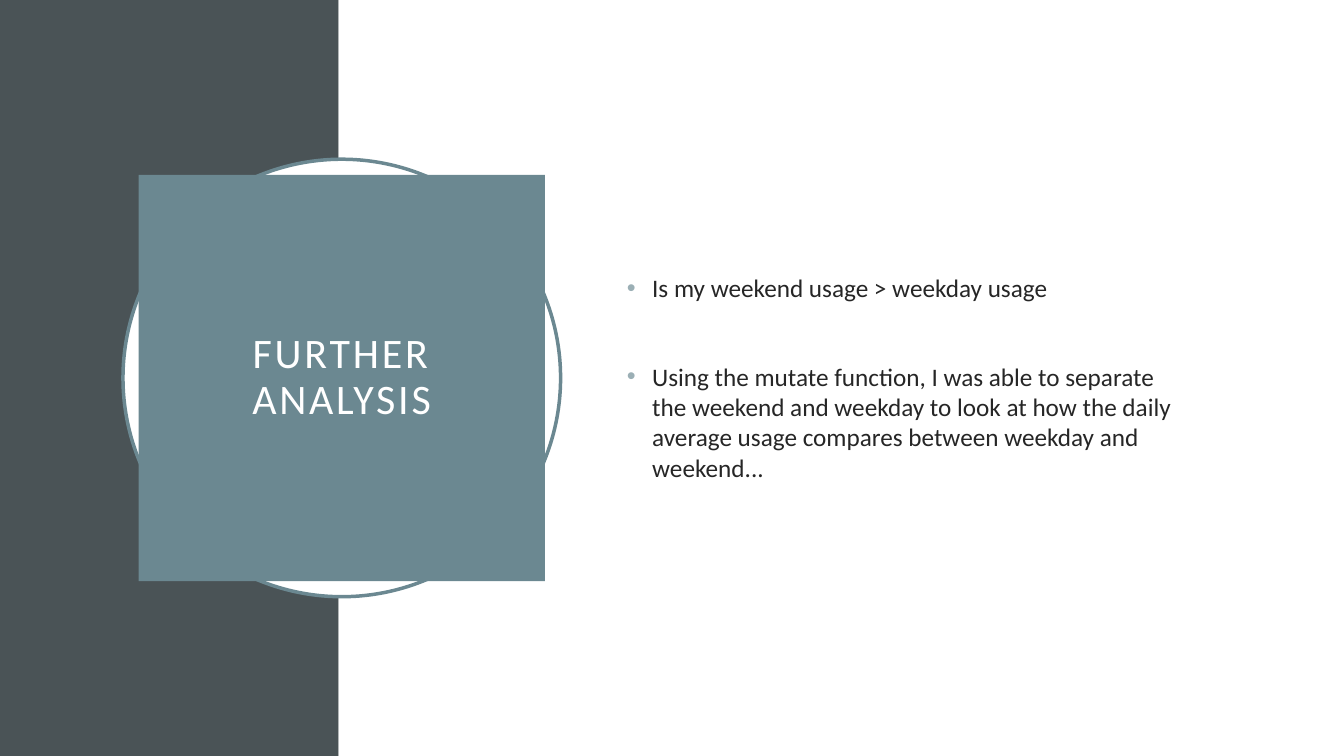
from dataclasses import dataclass
from lxml import etree
from pptx import Presentation
from pptx.dml.color import RGBColor
from pptx.enum.shapes import MSO_SHAPE
from pptx.enum.text import MSO_ANCHOR, PP_ALIGN
from pptx.oxml.ns import qn
from pptx.util import Inches, Pt

RECT, OVAL = MSO_SHAPE.RECTANGLE, MSO_SHAPE.OVAL
MIDDLE, CENTER, LEFT = MSO_ANCHOR.MIDDLE, PP_ALIGN.CENTER, PP_ALIGN.LEFT

TITLE = "FURTHER ANALYSIS"
POINTS = [
    ("Is my weekend usage > weekday usage", 10),
    ("Using the mutate function, I was able to separate the weekend and "
     "weekday to look at how the daily average usage compares between "
     "weekday and weekend...", 41.5),
]


@dataclass(frozen=True)
class Theme:
    font: str = "Calibri"
    dark: str = "4A5356"
    teal: str = "6B8891"
    white: str = "FFFFFF"
    ink: str = "262626"
    dot: str = "9BAFB5"
    head: int = 30
    body: int = 18
    ring: float = 2.5


THEME = Theme()
WIDE, HIGH = 13.33, 7.5
BAND = 3.36
MID_X, MID_Y = 3.39, HIGH / 2
RING, TILE = 4.34, 4.03
INSET = 0.2 + TILE * (1 - 0.5 ** 0.5) / 2
BODY = (6.12, 1.53, 5.82, 4.43)
INDENT = 0.25


def rgb(code):
    return RGBColor.from_string(code)


def block(slide, kind, box, fill, line=None):
    shape = slide.shapes.add_shape(kind, *map(Inches, box))
    shape.shadow.inherit = False
    shape.fill.solid()
    shape.fill.fore_color.rgb = rgb(fill)
    if line:
        shape.line.color.rgb = rgb(line)
        shape.line.width = Pt(THEME.ring)
    else:
        shape.line.fill.background()
    return shape


def square(side):
    return MID_X - side / 2, MID_Y - side / 2, side, side


def write(para, text, size, color, align):
    para.text = text
    para.alignment = align
    font = para.runs[0].font
    font.name, font.size = THEME.font, Pt(size)
    font.color.rgb = rgb(color)


def bullet(para):
    props = para._p.get_or_add_pPr()
    props.set("marL", str(Inches(INDENT)))
    props.set("indent", str(-Inches(INDENT)))
    tint = etree.SubElement(props, qn("a:buClr"))
    etree.SubElement(tint, qn("a:srgbClr"), val=THEME.dot)
    etree.SubElement(props, qn("a:buFont"), typeface="Arial")
    etree.SubElement(props, qn("a:buChar"), char="•")


def add_title(slide):
    frame = block(slide, RECT, square(TILE), THEME.teal).text_frame
    frame.word_wrap = True
    frame.vertical_anchor = MIDDLE
    frame.margin_left = frame.margin_right = Inches(INSET)
    frame.margin_top = frame.margin_bottom = Inches(INSET)
    para = frame.paragraphs[0]
    write(para, TITLE, THEME.head, THEME.white, CENTER)
    para.line_spacing = 0.9
    para.runs[0]._r.get_or_add_rPr().set("spc", "200")


def add_body(slide):
    frame = slide.shapes.add_textbox(*map(Inches, BODY)).text_frame
    frame.word_wrap = True
    frame.vertical_anchor = MIDDLE
    for i, (text, gap) in enumerate(POINTS):
        para = frame.add_paragraph() if i else frame.paragraphs[0]
        write(para, text, THEME.body, THEME.ink, LEFT)
        para.space_before = Pt(gap)
        bullet(para)


def main():
    deck = Presentation()
    deck.slide_width, deck.slide_height = Inches(WIDE), Inches(HIGH)
    slide = deck.slides.add_slide(deck.slide_layouts[6])
    block(slide, RECT, (0, 0, BAND, HIGH), THEME.dark)
    block(slide, RECT, (BAND, 0, WIDE - BAND, HIGH), THEME.white)
    block(slide, OVAL, square(RING), THEME.white, THEME.teal)
    add_title(slide)
    add_body(slide)
    deck.save("out.pptx")


if __name__ == "__main__":
    main()
